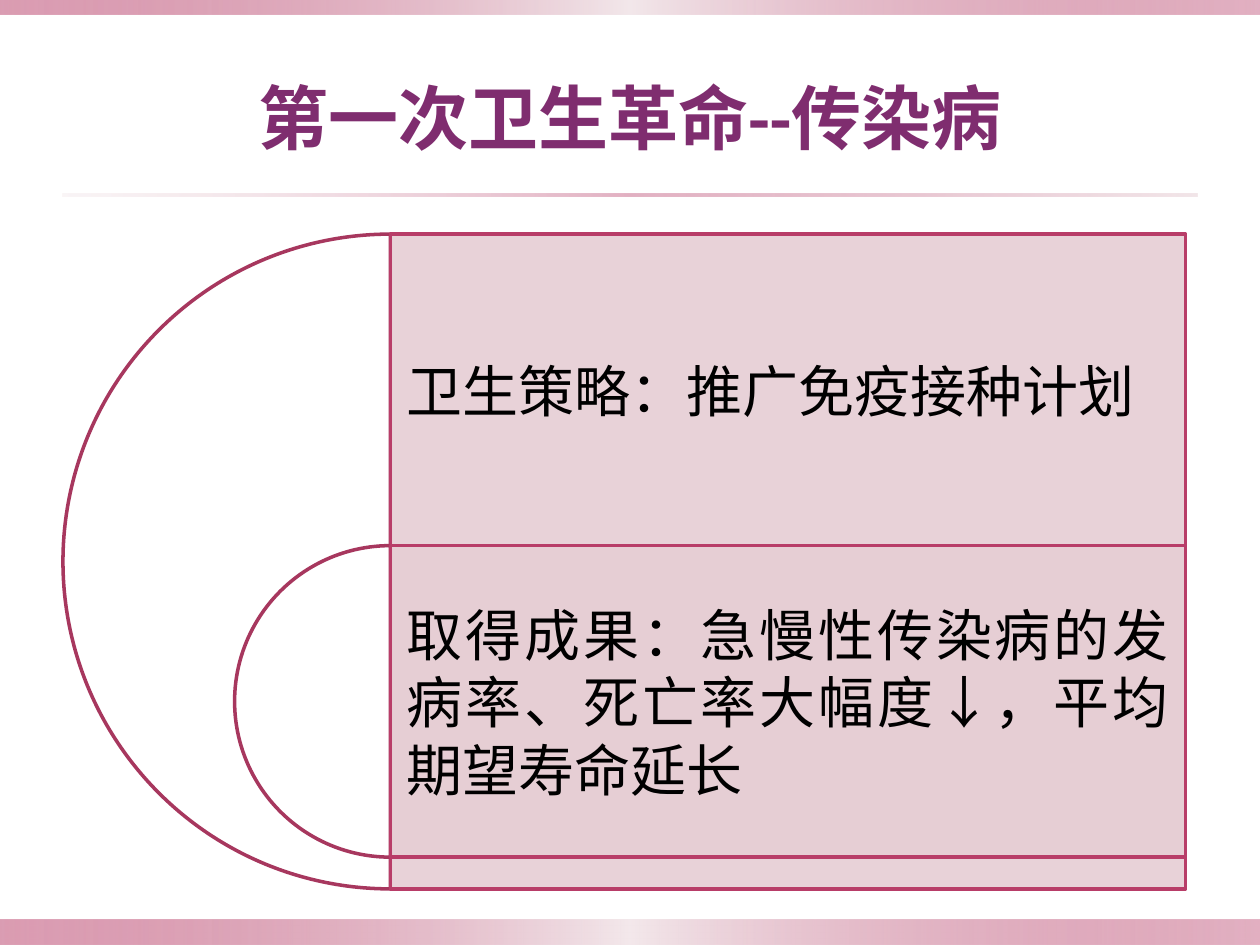
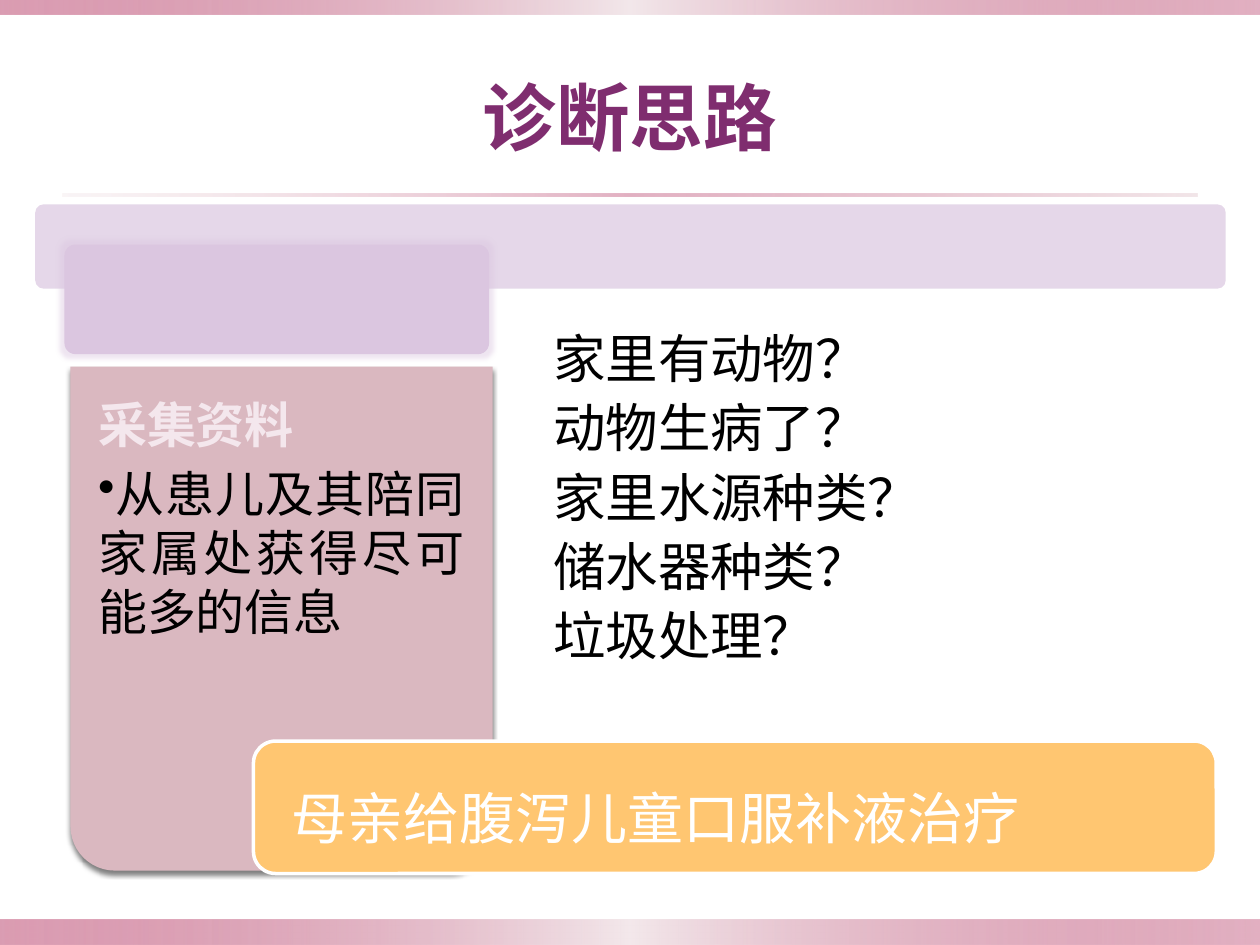
import lxml.etree
import pptx
import pptx.dml.color
import pptx.enum.shapes
import pptx.enum.text
import pptx.oxml
import pptx.oxml.ns
import pptx.util

Cm = pptx.util.Cm
Pt = pptx.util.Pt
RGBColor = pptx.dml.color.RGBColor
Shape = pptx.enum.shapes.MSO_SHAPE
Anchor = pptx.enum.text.MSO_ANCHOR
Align = pptx.enum.text.PP_ALIGN
qn = pptx.oxml.ns.qn

ROSE = RGBColor(0xB8, 0x3D, 0x68)
DARK_ROSE = RGBColor(0xA7, 0x37, 0x5E)
PALE_ROSE = RGBColor(0xE6, 0xCE, 0xD4)
MIST = RGBColor(0xF3, 0xE8, 0xEB)
PLUM = RGBColor(0x7F, 0x2D, 0x6F)
LILAC = RGBColor(0xE3, 0xD3, 0xE7)
MAUVE = RGBColor(0xDB, 0xC6, 0xE0)
DUSTY_PINK = RGBColor(0xDA, 0xB8, 0xC0)
BLUSH = RGBColor(0xF4, 0xE7, 0xED)
AMBER = RGBColor(0xFF, 0xC6, 0x71)
WHITE = RGBColor(0xFF, 0xFF, 0xFF)
BLACK = RGBColor(0, 0, 0)
XMLNS = 'xmlns:a="http://schemas.openxmlformats.org/drawingml/2006/main"'


def add_figure(page, kind, place, fill, line=None, alpha=100, adjust=()):
    figure = page.shapes.add_shape(kind, *[Cm(length) for length in place])
    figure.shadow.inherit = False
    figure.fill.solid()
    figure.fill.fore_color.rgb = fill
    if alpha < 100:
        color = figure._element.spPr.find(qn("a:solidFill"))[0]
        lxml.etree.SubElement(color, qn("a:alpha"), val=str(alpha * 1000))
    if line:
        figure.line.color.rgb = line
        figure.line.width = Pt(2)
    else:
        figure.line.fill.background()
    for index, value in enumerate(adjust):
        figure.adjustments[index] = value
    return figure


def add_text(page, place, lines, size, color, font="Arial", bold=False, inset=None,
             anchor=Anchor.TOP, align=Align.JUSTIFY, spacing=None):
    box = page.shapes.add_textbox(*[Cm(length) for length in place])
    frame = box.text_frame
    frame.word_wrap = True
    frame.vertical_anchor = anchor
    if inset is not None:
        frame.margin_left = frame.margin_right = Cm(inset)
        frame.margin_top = frame.margin_bottom = Cm(inset)
    for index, line in enumerate(lines):
        para = frame.paragraphs[0] if index == 0 else frame.add_paragraph()
        para.alignment = align
        if spacing:
            para.line_spacing = spacing
        span = para.add_run()
        span.text = line
        span.font.name = font
        span.font.size = Pt(size)
        span.font.bold = bold
        span.font.color.rgb = color
    return frame


deck = pptx.Presentation()
deck.slide_width = Cm(25.4)
deck.slide_height = Cm(19.05)

BAND_STOPS = [(0, ROSE, 50), (50, MIST, 100), (100, ROSE, 40)]
RULE_STOPS = [(0, PALE_ROSE, 20), (50, ROSE, 40), (100, PALE_ROSE, 50)]
STRIPES = [
    ((0, 18.54, 25.4, 0.51), BAND_STOPS),
    ((0, 0, 25.4, 0.3), BAND_STOPS),
    ((1.27, 3.91, 22.86, 0.05), RULE_STOPS),
]

pages = []
for title, title_size in [("第一次卫生革命--传染病", 40), ("诊断思路", 42)]:
    page = deck.slides.add_slide(deck.slide_layouts[6])
    for place, stops in STRIPES:
        stripe = add_figure(page, Shape.RECTANGLE, place, ROSE)
        stop_xml = "".join(
            f'<a:gs pos="{position * 1000}"><a:srgbClr val="{color}">'
            f'<a:alpha val="{alpha * 1000}"/></a:srgbClr></a:gs>'
            for position, color, alpha in stops)
        gradient = pptx.oxml.parse_xml(
            f'<a:gradFill {XMLNS} rotWithShape="1"><a:gsLst>{stop_xml}</a:gsLst>'
            '<a:lin ang="0" scaled="0"/></a:gradFill>')
        properties = stripe._element.spPr
        properties.replace(properties.find(qn("a:solidFill")), gradient)
    add_text(page, (1.27, 0.76, 22.86, 3.18), [title], title_size, PLUM, "Calibri",
             bold=True, anchor=Anchor.MIDDLE, align=Align.CENTER)
    pages.append(page)

revolution, diagnosis = pages

PANEL_LEFT = 7.87
PANEL_WIDTH = 16.03
ROW_HEIGHT = 6.28
ROWS = [
    (4.72, 13.2, "卫生策略：推广免疫接种计划"),
    (11, ROW_HEIGHT, "取得成果：急慢性传染病的发病率、死亡率大幅度↓，平均期望寿命延长"),
]
for top, diameter, words in ROWS:
    add_figure(revolution, Shape.PIE, (PANEL_LEFT - diameter / 2, top, diameter, diameter),
               WHITE, DARK_ROSE, adjust=(54, 162))
    add_figure(revolution, Shape.RECTANGLE, (PANEL_LEFT, top, PANEL_WIDTH, diameter),
               PALE_ROSE, ROSE, alpha=90)
    add_text(revolution, (PANEL_LEFT, top, PANEL_WIDTH, ROW_HEIGHT), [words], 32, BLACK,
             inset=0.33, anchor=Anchor.MIDDLE)

add_figure(diagnosis, Shape.ROUNDED_RECTANGLE, (0.71, 4.12, 24, 1.7), LILAC,
           alpha=90, adjust=(0.1,))
tab = add_figure(diagnosis, Shape.ROUNDED_RECTANGLE, (1.3, 4.93, 8.56, 2.21), MAUVE,
                 adjust=(0.1,))
CARD = (1.42, 7.39, 8.51, 10.16)
card = add_figure(diagnosis, Shape.ROUND_2_SAME_RECTANGLE, CARD, DUSTY_PINK,
                  adjust=(0.105, 0))
card.rotation = 180
EFFECTS = [
    (tab, f'<a:glow {XMLNS} rad="63500"><a:srgbClr val="{MAUVE}">'
          '<a:alpha val="45000"/></a:srgbClr></a:glow>'),
    (card, f'<a:outerShdw {XMLNS} blurRad="35560" dist="31750" dir="5400000" '
           'rotWithShape="0"><a:srgbClr val="000000"><a:alpha val="50000"/>'
           '</a:srgbClr></a:outerShdw>'),
]
for figure, effect in EFFECTS:
    figure._element.spPr.find(qn("a:effectLst")).append(pptx.oxml.parse_xml(effect))

notes = add_text(diagnosis, CARD, ["采集资料", "从患儿及其陪同家属处获得尽可能多的信息"],
                 28, BLACK, inset=0.56)
heading, detail = notes.paragraphs
heading.space_after = Pt(6)
heading.runs[0].font.bold = True
heading.runs[0].font.color.rgb = BLUSH
detail_properties = detail._p.get_or_add_pPr()
detail_properties.set("marL", "0")
detail_properties.set("indent", "0")
lxml.etree.SubElement(detail_properties, qn("a:buChar"), char="•")

QUESTIONS = ["家里有动物？", "动物生病了？", "家里水源种类？", "储水器种类？", "垃圾处理？"]
add_text(diagnosis, (10.9, 6.32, 13, 7.47), QUESTIONS, 30, BLACK, spacing=1.1)

add_figure(diagnosis, Shape.ROUNDED_RECTANGLE, (5.11, 14.94, 19.41, 2.67), AMBER, WHITE)
treatment = add_text(diagnosis, (5.28, 14.53, 19.41, 3.2), ["母亲给腹泻儿童口服补液治疗"],
                     32, WHITE, inset=0.28, anchor=Anchor.MIDDLE, spacing=1.5)
treatment.margin_left = Cm(0.6)

deck.save("out.pptx")
